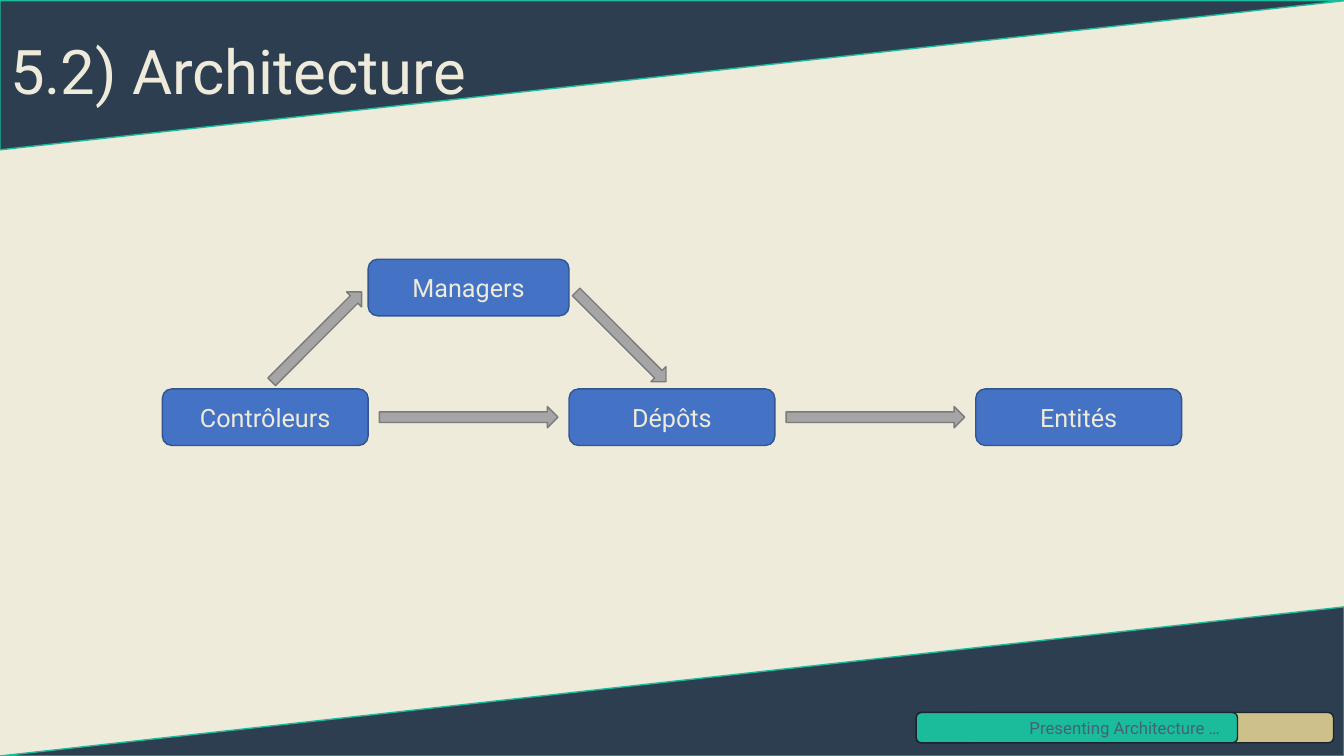
"""Builds the architecture slide with its banded frame, flow diagram and progress bar."""
from dataclasses import dataclass

import pptx
import pptx.dml.color
import pptx.enum.shapes
import pptx.enum.text
import pptx.util

Pt = pptx.util.Pt
SHAPE = pptx.enum.shapes.MSO_SHAPE
ALIGN = pptx.enum.text.PP_ALIGN
ANCHOR = pptx.enum.text.MSO_ANCHOR


@dataclass(frozen=True)
class Theme:
    """Colours, font and type sizes of the slide."""
    cream: str = "EFEBDA"
    navy: str = "2C3E50"
    teal: str = "1ABC9C"
    sand: str = "CDC08A"
    ink: str = "1A252F"
    slate: str = "446378"
    node: str = "4472C4"
    node_edge: str = "325491"
    arrow: str = "A5A5A5"
    arrow_edge: str = "7A7A7A"
    font: str = "Roboto"
    title_size: int = 44
    node_size: int = 18
    progress_size: int = 12


THEME = Theme()


def rgb(code):
    """Return the colour for a hex code."""
    return pptx.dml.color.RGBColor.from_string(code)


def add_block(slide, preset, box, fill, edge, rotation=0):
    """Add a flat preset shape with a one-point outline."""
    block = slide.shapes.add_shape(preset, *map(Pt, box))
    block.shadow.inherit = False
    block.fill.solid()
    block.fill.fore_color.rgb = rgb(fill)
    block.line.color.rgb = rgb(edge)
    block.line.width = Pt(1)
    block.rotation = rotation
    return block


def write(frame, text, size, color, align, anchor):
    """Write one formatted paragraph into a text frame."""
    frame.word_wrap = True
    frame.vertical_anchor = anchor
    frame.text = text
    paragraph = frame.paragraphs[0]
    paragraph.alignment = align
    paragraph.font.name = THEME.font
    paragraph.font.size = Pt(size)
    paragraph.font.color.rgb = rgb(color)
    return paragraph


def add_bands(slide, box, band_height):
    """Place the dark triangles at the top and bottom of the box."""
    left, top, width, height = box
    bands = ((top + 0.5, 180), (top + height - band_height, 0))
    for band_top, rotation in bands:
        band = add_block(slide, SHAPE.RIGHT_TRIANGLE, (left, band_top, width, band_height),
                         THEME.navy, THEME.teal, rotation)
        band.element.spPr.xfrm.set("flipH", "1")


def add_title(slide, box, text):
    """Format the title placeholder and bring it in front of the bands."""
    title = slide.shapes.title
    title.left, title.top, title.width, title.height = map(Pt, box)
    title.element.getparent().append(title.element)
    title.text_frame.auto_size = pptx.enum.text.MSO_AUTO_SIZE.NONE
    heading = write(title.text_frame, text, THEME.title_size, THEME.cream,
                    ALIGN.LEFT, ANCHOR.MIDDLE)
    heading.line_spacing = 0.9


def add_progress(slide, box, text, steps):
    """Draw the progress bar with its filled steps and caption."""
    left, top, width, height = box
    for share, fill in ((1, THEME.sand), *((step, THEME.teal) for step in steps)):
        add_block(slide, SHAPE.ROUNDED_RECTANGLE, (left, top, width * share, height),
                  fill, THEME.ink)
    caption = slide.shapes.add_textbox(*map(Pt, box))
    write(caption.text_frame, text, THEME.progress_size, THEME.slate,
          ALIGN.CENTER, ANCHOR.TOP)


def add_flow(slide, box):
    """Draw the layers and the arrows between them."""
    left, top, width, height = box
    node_width, node_height, arrow_height = 147, 40.4, 15.2
    step = (width - node_width) / 2
    row_top = top + height - node_height
    nodes = [(name, left + column * step, row_top, node_width)
             for column, name in enumerate(("Contrôleurs", "Dépôts", "Entités"))]
    nodes.append(("Managers", left + node_width, top, step - node_width))
    for name, x, y, node_span in nodes:
        node = add_block(slide, SHAPE.ROUNDED_RECTANGLE, (x, y, node_span, node_height),
                         THEME.node, THEME.node_edge)
        write(node.text_frame, name, THEME.node_size, THEME.cream,
              ALIGN.CENTER, ANCHOR.MIDDLE)

    row_arrow_top = row_top + (node_height - arrow_height) / 2
    slant_top = top + 47.8
    arrows = (
        (left + 64.8, slant_top, 90.8, 315),
        (left + node_width + 8, row_arrow_top, 127.6, 0),
        (left + 282.2, slant_top, 90.8, 45),
        (left + step + node_width + 8, row_arrow_top, 127.6, 0),
    )
    for x, y, length, rotation in arrows:
        add_block(slide, SHAPE.RIGHT_ARROW, (x, y, length, arrow_height),
                  THEME.arrow, THEME.arrow_edge, rotation)


def main():
    """Build and save the slide."""
    deck = pptx.Presentation()
    deck.slide_width, deck.slide_height = Pt(960), Pt(540)
    slide = deck.slides.add_slide(deck.slide_layouts[5])
    slide.background.fill.solid()
    slide.background.fill.fore_color.rgb = rgb(THEME.cream)
    add_bands(slide, (0, 0, 960, 540), 106.5)
    add_title(slide, (0, 0, 379.5, 106.5), "5.2) Architecture")
    add_progress(slide, (654.5, 509, 298, 21.6), "Presenting Architecture …", (1 / 7, 0.77))
    add_flow(slide, (116, 185.2, 728, 133))
    deck.save("out.pptx")


if __name__ == "__main__":
    main()
